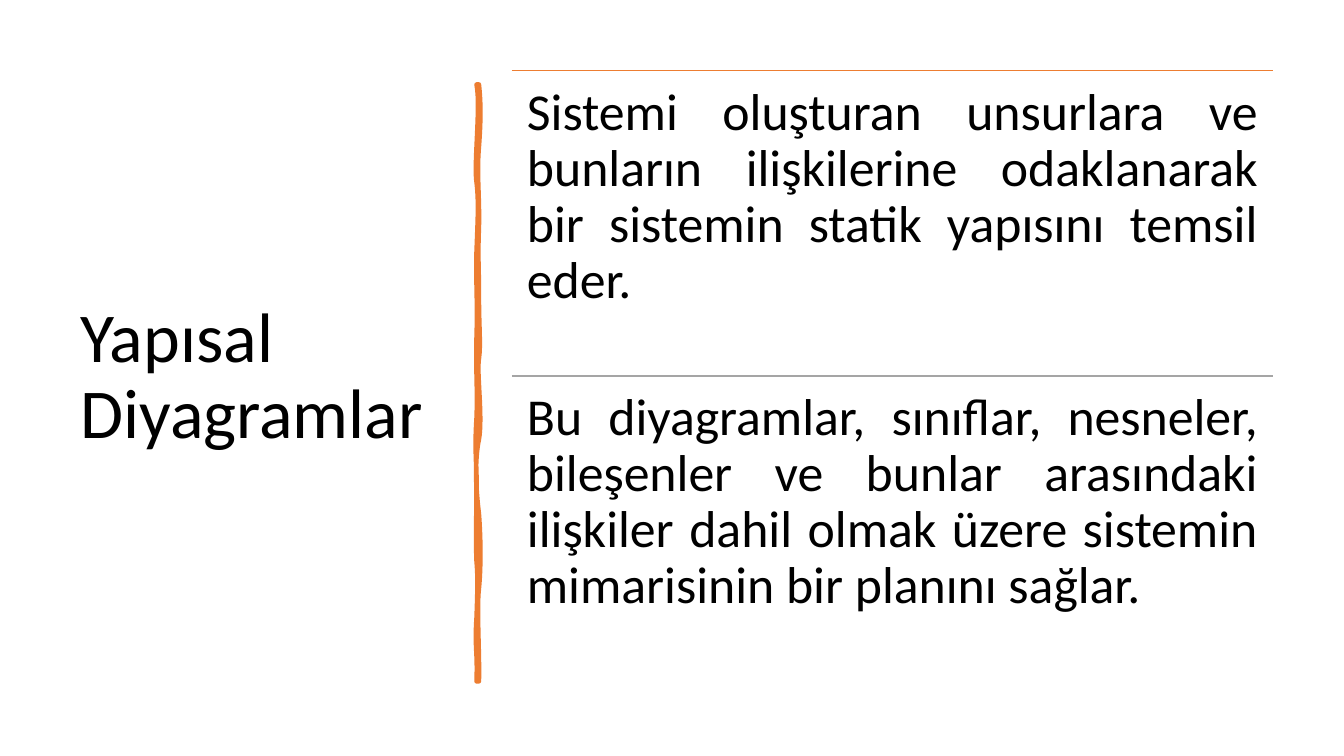
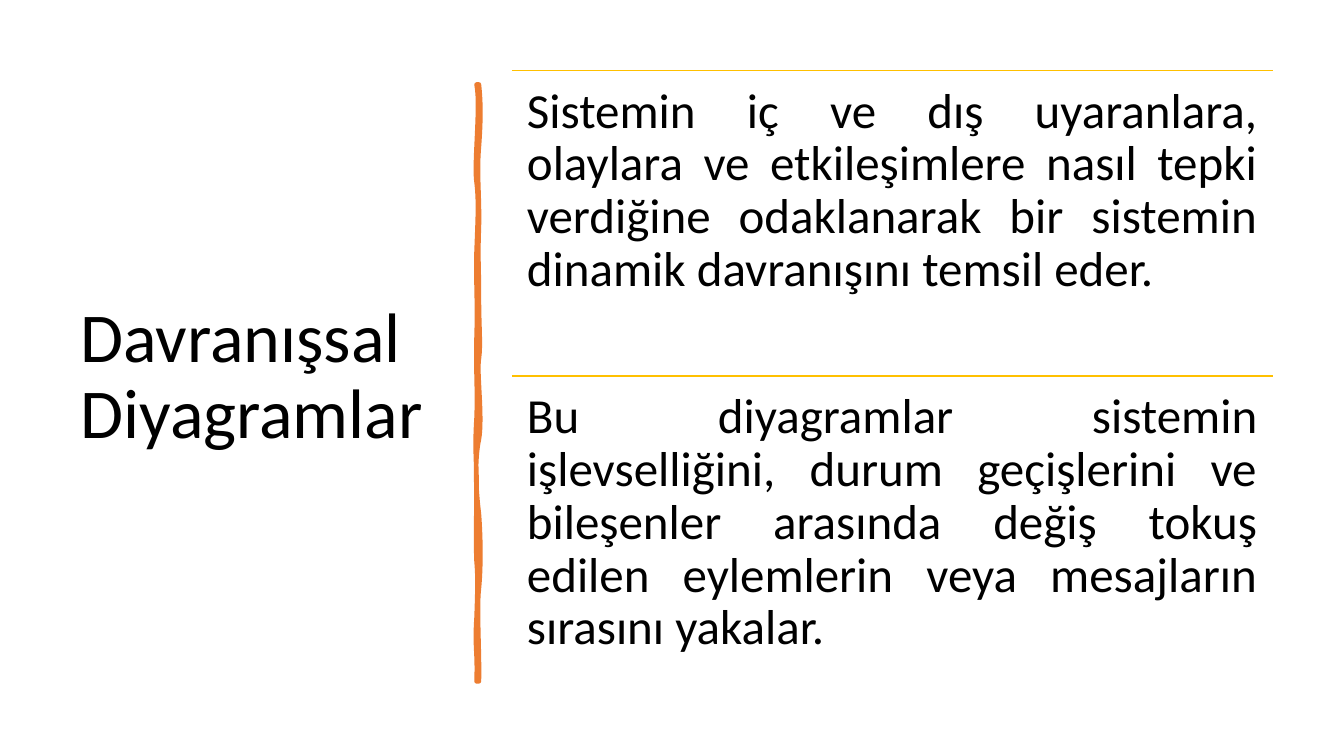
from pptx import Presentation
from pptx.dml.color import RGBColor
from pptx.enum.shapes import MSO_CONNECTOR
from pptx.enum.text import MSO_ANCHOR, MSO_AUTO_SIZE, PP_ALIGN
from pptx.oxml.ns import qn
from pptx.util import Cm, Pt
from lxml.etree import SubElement

FONT = "Calibri"
HUES = {"ink": "000000", "orange": "ED7D31", "grey": "A5A5A5", "gold": "FFC000"}

# Boxes in cm: left, top, width, height
TITLE = (1.77, 1.77, 9.5, 15.5)
BAR = (12.01, 2.13)
PANEL = (12.9, 1.78, 19.18, 15.38)

# Hand-drawn bar: cubic curves as (control, control, end), from its top left
START = (0.06, 0)
CURVES = [
    # Right edge, downwards
    ((0.11, 0.46), (0.11, 0.89), (0.06, 1.57)),
    ((0, 2.26), (0.08, 2.82), (0.06, 3.61)),
    ((0.03, 4.39), (0.06, 4.52), (0.06, 5.33)),
    ((0.06, 6.12), (0.11, 6.55), (0.06, 6.91)),
    ((0, 7.26), (0.16, 8.38), (0.06, 8.94)),
    ((-0.05, 9.47), (-0.02, 10.16), (0.06, 10.82)),
    ((0.11, 11.48), (0.11, 12.19), (0.06, 12.7)),
    ((0, 13.18), (0.08, 14.38), (0.06, 15.04)),
    # Left edge, upwards
    ((0.03, 15.04), (0, 15.04), (0, 15.04)),
    ((0.03, 14.28), (-0.05, 14.22), (0, 13.44)),
    ((0.03, 12.67), (0.03, 12.34), (0, 12.01)),
    ((-0.02, 11.68), (0, 10.44), (0, 9.98)),
    ((0, 9.53), (-0.05, 9.17), (0, 8.41)),
    ((0.03, 7.67), (-0.02, 7.34), (0, 6.38)),
    ((0.03, 5.44), (-0.02, 5), (0, 4.22)),
    ((0.03, 3.4), (0.06, 2.95), (0, 2.46)),
    ((-0.07, 2.01), (0.11, 0.51), (0, 0)),
]

SLIDES = [
    ("Yapısal Diyagramlar", 37, [
        ("orange", "Sistemi oluşturan unsurlara ve bunların ilişkilerine "
                   "odaklanarak bir sistemin statik yapısını temsil eder."),
        ("grey", "Bu diyagramlar, sınıflar, nesneler, bileşenler ve bunlar "
                 "arasındaki ilişkiler dahil olmak üzere sistemin mimarisinin "
                 "bir planını sağlar."),
    ]),
    ("Davranışsal Diyagramlar", 35, [
        ("gold", "Sistemin iç ve dış uyaranlara, olaylara ve etkileşimlere "
                 "nasıl tepki verdiğine odaklanarak bir sistemin dinamik "
                 "davranışını temsil eder."),
        ("gold", "Bu diyagramlar sistemin işlevselliğini, durum geçişlerini ve "
                 "bileşenler arasında değiş tokuş edilen eylemlerin veya "
                 "mesajların sırasını yakalar."),
    ]),
]


def color(name):
    return RGBColor.from_string(HUES[name])


def write(frame, text, size, align, anchor):
    frame.word_wrap = True
    frame.auto_size = MSO_AUTO_SIZE.NONE
    frame.vertical_anchor = anchor
    para = frame.paragraphs[0]
    para.alignment = align
    para.line_spacing = 0.9
    run = para.add_run()
    run.text = text
    run.font.name = FONT
    run.font.size = Pt(size)
    run.font.color.rgb = color("ink")


def add_title(slide, box, text):
    title = slide.shapes.title
    title.left, title.top, title.width, title.height = map(Cm, box)
    write(title.text_frame, text, 50, PP_ALIGN.LEFT, MSO_ANCHOR.MIDDLE)


def bend(shape, curves):
    """Turn each straight segment of the outline into its cubic curve."""
    for line, curve in zip(list(shape._element.iter(qn("a:lnTo"))), curves):
        line.tag = qn("a:cubicBezTo")
        line.remove(line[0])
        for x, y in curve:
            SubElement(line, qn("a:pt"), x=str(Cm(x)), y=str(Cm(y)))


def add_bar(slide, spot):
    def place(point):
        return tuple(Cm(base + off) for base, off in zip(spot, point))

    pen = slide.shapes.build_freeform(*place(START))
    pen.add_line_segments([place(curve[-1]) for curve in CURVES], close=True)
    bar = pen.convert_to_shape()
    bend(bar, CURVES)
    bar.shadow.inherit = False
    bar.fill.solid()
    bar.fill.fore_color.rgb = color("orange")
    bar.line.color.rgb = color("orange")
    bar.line.width = Pt(3.25)


def add_rule(slide, left, top, width, hue):
    rule = slide.shapes.add_connector(
        MSO_CONNECTOR.STRAIGHT, Cm(left), Cm(top), Cm(left + width), Cm(top))
    rule.line.color.rgb = color(hue)
    rule.line.width = Pt(1)
    SubElement(rule._element.spPr, qn("a:effectLst"))


def add_panel(slide, box, items, size):
    left, top, width, height = box
    row = height / len(items)
    for index, (hue, text) in enumerate(items):
        y = top + index * row
        add_rule(slide, left, y, width, hue)
        area = slide.shapes.add_textbox(Cm(left), Cm(y), Cm(width), Cm(row))
        frame = area.text_frame
        frame.margin_left = frame.margin_right = Cm(0.38)
        frame.margin_top = frame.margin_bottom = Cm(0.38)
        write(frame, text, size, PP_ALIGN.JUSTIFY, MSO_ANCHOR.TOP)


def add_slide(deck, title, size, items):
    slide = deck.slides.add_slide(deck.slide_layouts.get_by_name("Title Only"))
    add_title(slide, TITLE, title)
    add_bar(slide, BAR)
    add_panel(slide, PANEL, items, size)


def main():
    deck = Presentation()
    deck.slide_width, deck.slide_height = Cm(33.87), Cm(19.05)
    for title, size, items in SLIDES:
        add_slide(deck, title, size, items)
    deck.save("out.pptx")


if __name__ == "__main__":
    main()
